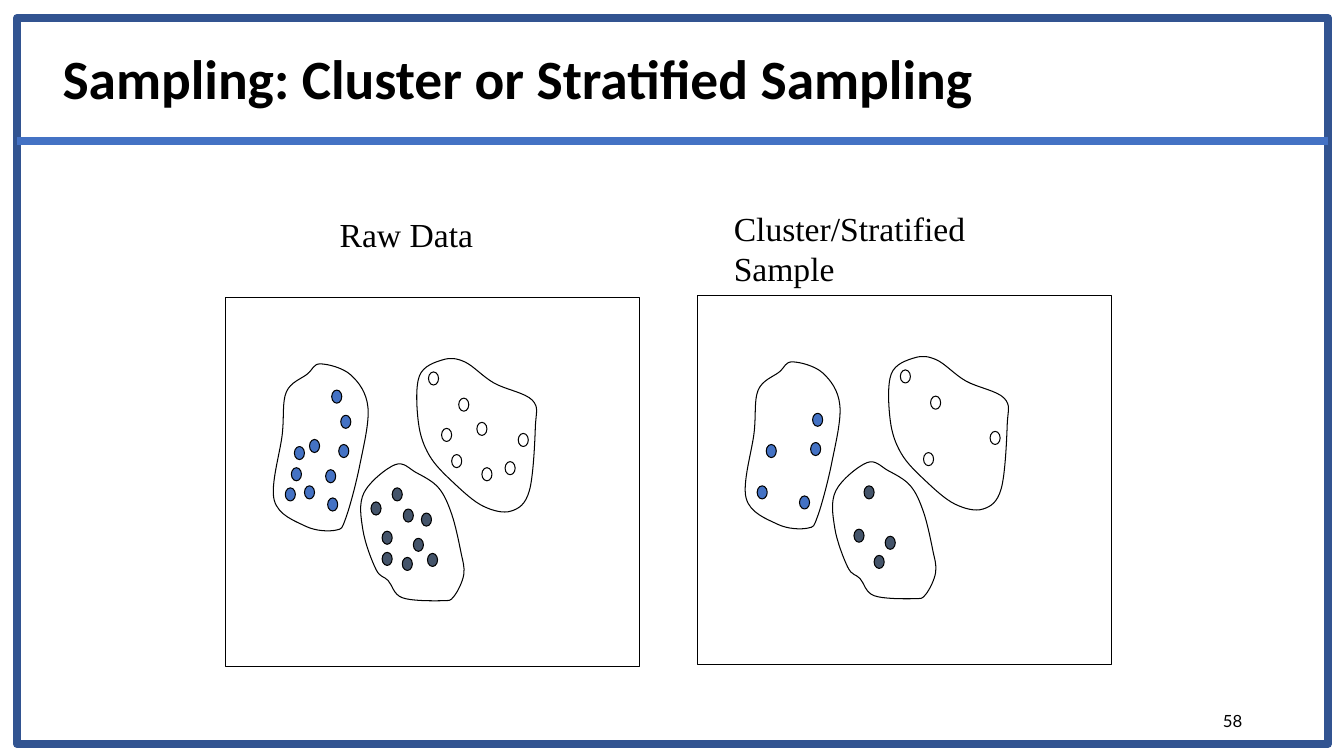
from pptx import Presentation, util as u
from pptx.dml.color import RGBColor
from pptx.enum import shapes, text
from pptx.oxml.xmlchemy import OxmlElement

PX = 9144
COLORS = {
    "black": "000000", "white": "FFFFFF", "blue": "4472C4",
    "slate": "44546A", "frame": "325491",
}

CLUSTERS = [
    {
        "fill": "white",
        "kept": [(455, 395), (448, 451), (514, 430), (425, 369)],
        "dropped": [(473, 419), (438, 425), (501, 458), (478, 464)],
        "outline": [
            (528, 397), (531, 424), (525, 487), (507, 507), (479, 502), (450, 479),
            (426, 452), (415, 419), (416, 373), (439, 357), (461, 359), (490, 380),
        ],
    },
    {
        "fill": "slate",
        "kept": [(399, 553), (410, 534), (379, 527), (389, 484)],
        "dropped": [(368, 498), (418, 509), (379, 548), (400, 505), (424, 549)],
        "outline": [
            (392, 461), (413, 469), (435, 484), (448, 510), (457, 547), (460, 570),
            (450, 592), (438, 596), (399, 593), (385, 576), (373, 565), (360, 526),
            (361, 489),
        ],
    },
    {
        "fill": "blue",
        "kept": [(283, 484), (292, 443), (325, 494), (336, 441), (338, 412)],
        "dropped": [(302, 482), (289, 464), (323, 466), (307, 436), (329, 387)],
        "outline": [
            (318, 361), (348, 372), (365, 404), (357, 461), (343, 514), (333, 526),
            (303, 522), (272, 496), (280, 431), (284, 389), (305, 371),
        ],
    },
]


def style_shape(shape, fill=None, line="black", width=0.75):
    shape.shadow.inherit = False
    if fill:
        shape.fill.solid()
        shape.fill.fore_color.rgb = RGBColor.from_string(COLORS[fill])
    else:
        shape.fill.background()
    shape.line.color.rgb = RGBColor.from_string(COLORS[line])
    shape.line.width = u.Pt(width)


def write_text(box, words, font, size, wrap=True):
    frame = box.text_frame
    frame.text = words
    frame.word_wrap = wrap
    frame.auto_size = text.MSO_AUTO_SIZE.NONE
    para = frame.paragraphs[0]
    para.font.name = font
    para.font.size = u.Pt(size)
    para.font.color.rgb = RGBColor.from_string(COLORS["black"])
    return para


deck = Presentation()
deck.slide_width = 1333 * PX
deck.slide_height = 750 * PX
page = deck.slides.add_slide(deck.slide_layouts[5])

title = page.shapes.title
title.left, title.top, title.width, title.height = 52 * PX, 35 * PX, 950 * PX, 92 * PX
para = write_text(title, "Sampling: Cluster or Stratified Sampling", "Calibri", 39.6)
para.font.bold = True
para.alignment = text.PP_ALIGN.LEFT
para.line_spacing = 0.9
title.text_frame.vertical_anchor = text.MSO_ANCHOR.MIDDLE

number = page.shapes.add_textbox(942 * PX, 695 * PX, 300 * PX, 40 * PX)
write_text(number, "58", "Lato", 12).alignment = text.PP_ALIGN.RIGHT
number.text_frame.vertical_anchor = text.MSO_ANCHOR.MIDDLE

for dx, dy, is_sample in [(0, 0, False), (468, -2, True)]:
    panel = page.shapes.add_group_shape().shapes
    border = panel.add_shape(
        shapes.MSO_SHAPE.RECTANGLE, (224 + dx) * PX, (295 + dy) * PX, 410 * PX, 366 * PX)
    style_shape(border)
    for cluster in CLUSTERS:
        dots = cluster["kept"] if is_sample else cluster["kept"] + cluster["dropped"]
        for x, y in dots:
            dot = panel.add_shape(
                shapes.MSO_SHAPE.FLOWCHART_CONNECTOR,
                (x + dx) * PX, (y + dy) * PX, 10 * PX, 13 * PX)
            style_shape(dot, cluster["fill"])
        knots = [((x + dx) * PX, (y + dy) * PX) for x, y in cluster["outline"]]
        points = []
        for index, here in enumerate(knots):
            before = knots[index - 1]
            after, later = (knots[(index + step) % len(knots)] for step in (1, 2))
            points.append([a + (c - b) / 6 for a, b, c in zip(here, before, after)])
            points.append([a - (c - b) / 6 for a, b, c in zip(after, here, later)])
            points.append(after)
        builder = panel.build_freeform(*knots[0])
        builder.add_line_segments(points, close=True)
        outline = builder.convert_to_shape()
        style_shape(outline)
        segments = outline.element.xpath(".//a:lnTo")
        for start in range(0, len(segments), 3):
            curve = OxmlElement("a:cubicBezTo")
            segments[start].addprevious(curve)
            for segment in segments[start:start + 3]:
                curve.append(segment[0])
                segment.getparent().remove(segment)

for words, left, top, width, height, wrap in [
    ("Raw Data", 327, 207, 161, 50, False),
    ("Cluster/Stratified Sample", 718, 201, 300, 90, True),
]:
    caption = page.shapes.add_textbox(left * PX, top * PX, width * PX, height * PX)
    write_text(caption, words, "Times New Roman", 24, wrap)

frame = page.shapes.add_shape(
    shapes.MSO_SHAPE.RECTANGLE, 17 * PX, 18 * PX, 1300 * PX, 720 * PX)
style_shape(frame, line="frame", width=6)

rule = page.shapes.add_connector(
    shapes.MSO_CONNECTOR.STRAIGHT, 17 * PX, 140 * PX, 1317 * PX, 140 * PX)
rule.line.color.rgb = RGBColor.from_string(COLORS["blue"])
rule.line.width = u.Pt(6)
rule.element.spPr.append(OxmlElement("a:effectLst"))

deck.save("out.pptx")
